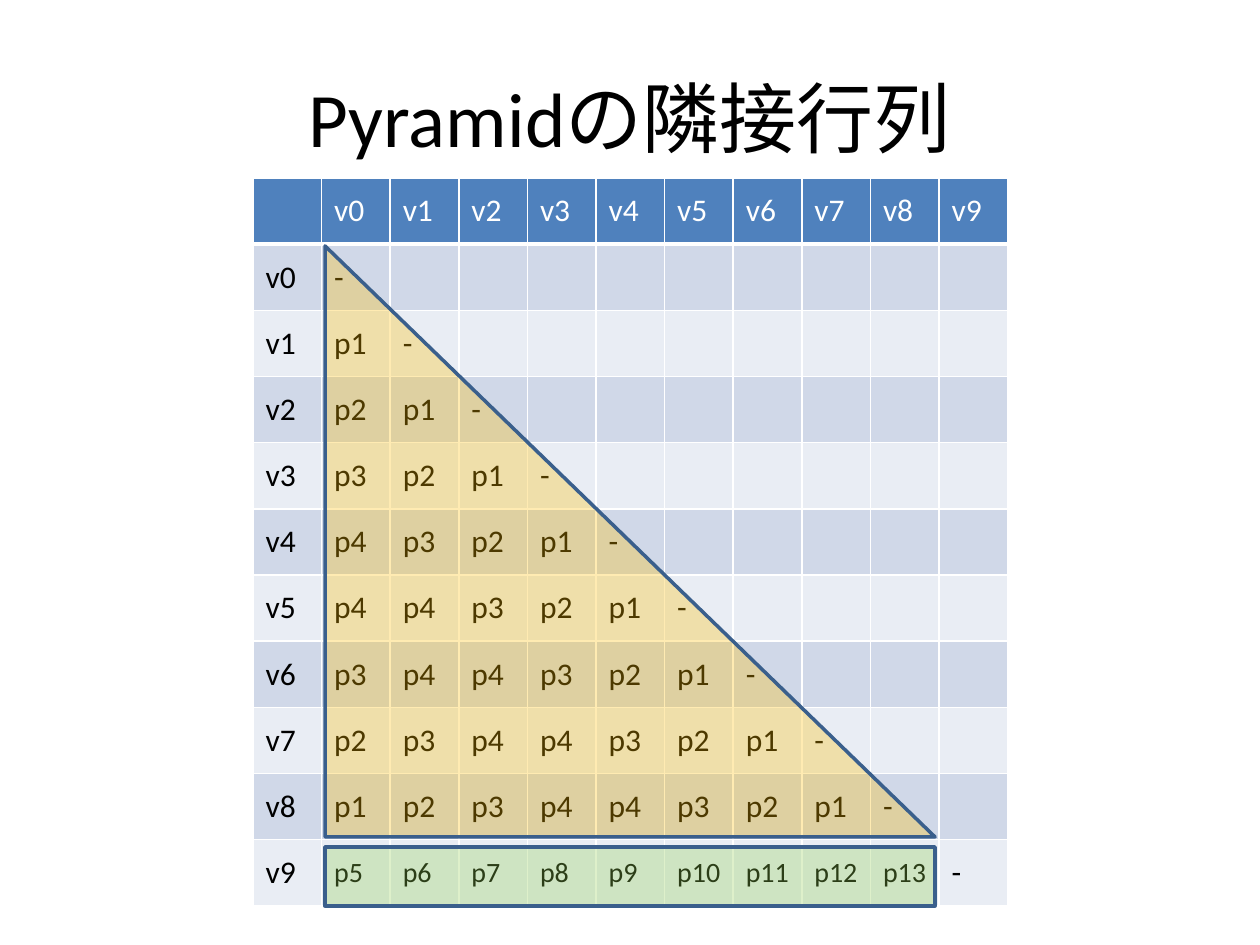
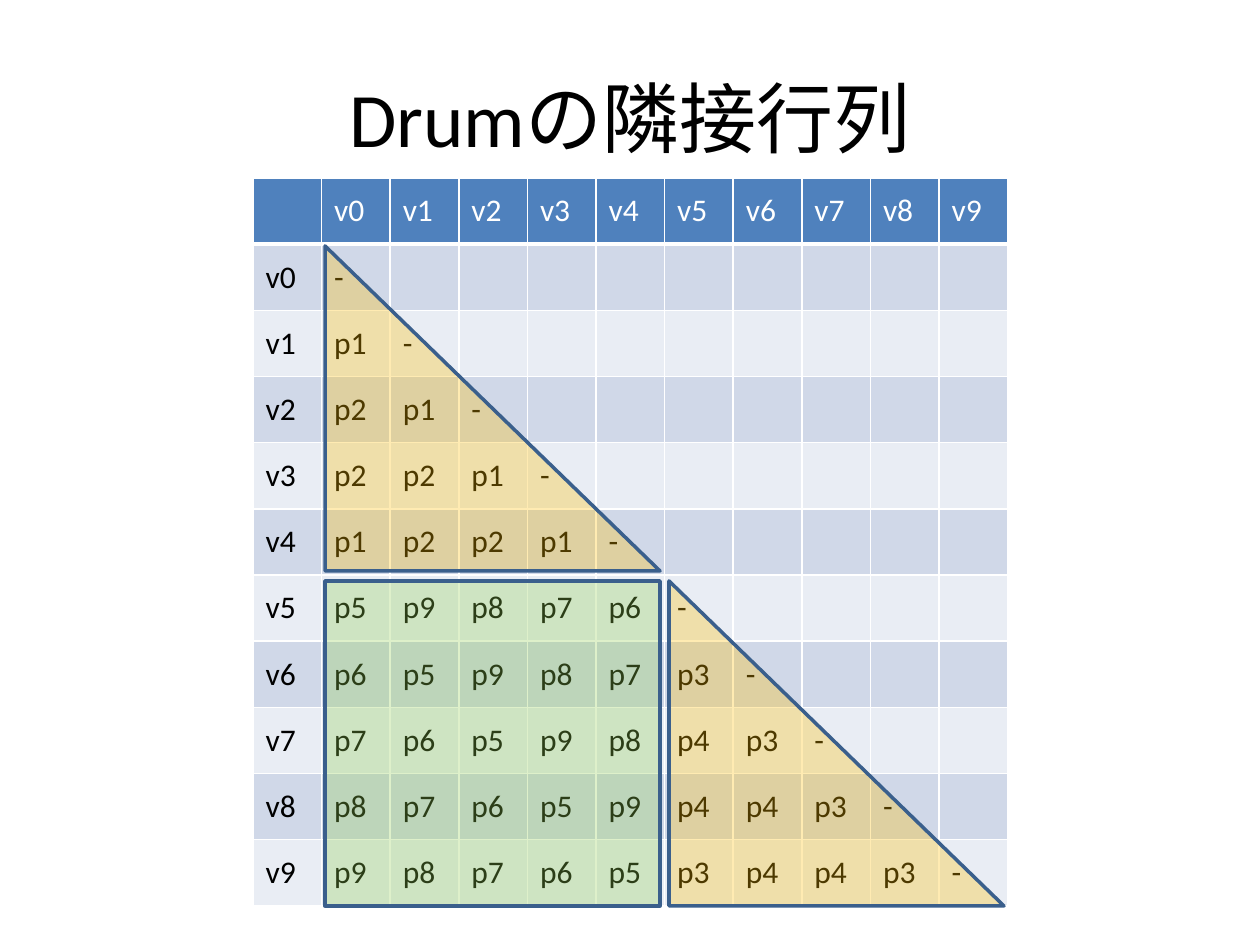
import pptx
import pptx.util
import pptx.dml.color
import pptx.enum.shapes
import pptx.enum.text
import pptx.oxml
import pptx.oxml.ns

RGBColor = pptx.dml.color.RGBColor
SHAPES = pptx.enum.shapes.MSO_SHAPE
MIDDLE = pptx.enum.text.MSO_ANCHOR.MIDDLE

PX = 914400 / 126
FONT = "Calibri"
BLACK = RGBColor(0x00, 0x00, 0x00)
WHITE = RGBColor(0xFF, 0xFF, 0xFF)
HEADER_BLUE = RGBColor(0x4F, 0x81, 0xBD)
BANDS = [RGBColor(0xD0, 0xD8, 0xE8), RGBColor(0xE9, 0xED, 0xF4)]
OUTLINE = RGBColor(0x3A, 0x5F, 0x8C)
AMBER = RGBColor(0xFF, 0xC0, 0x00)
GREEN = RGBColor(0x92, 0xD0, 0x50)

VERTICES = 10
SIZE = VERTICES + 1
MATRIX_BOX = (253, 178, 755, 728)


def emu(*lengths):
    return [pptx.util.Emu(round(length * PX)) for length in lengths]


def add_border(cell, side, points):
    cell._tc.get_or_add_tcPr().append(pptx.oxml.parse_xml(
        f'<a:{side} {pptx.oxml.ns.nsdecls("a")} w="{pptx.util.Pt(points)}">'
        f'<a:solidFill><a:srgbClr val="{WHITE}"/></a:solidFill></a:{side}>'))


# Edge labels below the diagonal, keyed by (row vertex, column vertex)
pyramid, drum = {}, {}
for i in range(VERTICES):
    for j in range(i):
        step = i - j
        pyramid[i, j] = f"p{5 + j}" if i == 9 else f"p{min(step, 9 - step)}"
        if i >= 5 > j:
            drum[i, j] = f"p{5 + step % 5}"
        else:
            drum[i, j] = f"p{min(step, 5 - step) + (2 if j >= 5 else 0)}"

# Title, edge labels, vertices with smaller labels, highlighted regions
slides = [
    ("Pyramidの隣接行列", pyramid, [9], [
        (SHAPES.RECTANGLE, GREEN, (325, 847, 610, 59)),
        (SHAPES.RIGHT_TRIANGLE, AMBER, (325, 246, 610, 591)),
    ]),
    ("Drumの隣接行列", drum, [], [
        (SHAPES.RECTANGLE, GREEN, (325, 581, 335, 325)),
        (SHAPES.RIGHT_TRIANGLE, AMBER, (669, 581, 335, 325)),
        (SHAPES.RIGHT_TRIANGLE, AMBER, (325, 246, 335, 325)),
    ]),
]

prs = pptx.Presentation()
prs.slide_width, prs.slide_height = emu(1260, 945)

for heading, edges, small_rows, regions in slides:
    slide = prs.slides.add_slide(prs.slide_layouts[5])

    # Title
    title = slide.shapes.title
    title.left, title.top, title.width, title.height = emu(63, 38, 1134, 157)
    title.text_frame.text = heading
    title.text_frame.vertical_anchor = MIDDLE
    paragraph = title.text_frame.paragraphs[0]
    paragraph.alignment = pptx.enum.text.PP_ALIGN.CENTER
    paragraph.font.name = FONT
    paragraph.font.size = pptx.util.Pt(44)
    paragraph.font.color.rgb = BLACK

    # Adjacency matrix
    matrix = slide.shapes.add_table(SIZE, SIZE, *emu(*MATRIX_BOX)).table
    for column in matrix.columns:
        column.width = emu(MATRIX_BOX[2] / SIZE)[0]
    for row in matrix.rows:
        row.height = emu(MATRIX_BOX[3] / SIZE)[0]
    for r in range(SIZE):
        for c in range(SIZE):
            cell = matrix.cell(r, c)
            i, j = r - 1, c - 1
            if r == 0 or c == 0:
                label = f"v{max(i, j)}" if r != c else ""
            else:
                label = "-" if i == j else edges.get((i, j), "")
            for side in ("lnL", "lnR", "lnT", "lnB"):
                add_border(cell, side, 3 if r == 0 and side == "lnB" else 1)
            cell.fill.solid()
            cell.fill.fore_color.rgb = HEADER_BLUE if r == 0 else BANDS[i % 2]
            cell.vertical_anchor = MIDDLE
            cell.text = label
            font = cell.text_frame.paragraphs[0].font
            font.name = FONT
            font.size = pptx.util.Pt(16 if i in small_rows and 0 <= j < i else 18)
            font.bold = False
            font.color.rgb = WHITE if r == 0 else BLACK

    # Translucent regions over the matrix
    for outline, color, box in regions:
        region = slide.shapes.add_shape(outline, *emu(*box))
        region.shadow.inherit = False
        region.fill.solid()
        region.fill.fore_color.rgb = color
        tint = region.element.spPr.find("a:solidFill/a:srgbClr", pptx.oxml.ns._nsmap)
        tint.append(pptx.oxml.parse_xml(
            f'<a:alpha {pptx.oxml.ns.nsdecls("a")} val="30000"/>'))
        region.line.color.rgb = OUTLINE
        region.line.width = pptx.util.Pt(2)

prs.save("out.pptx")
